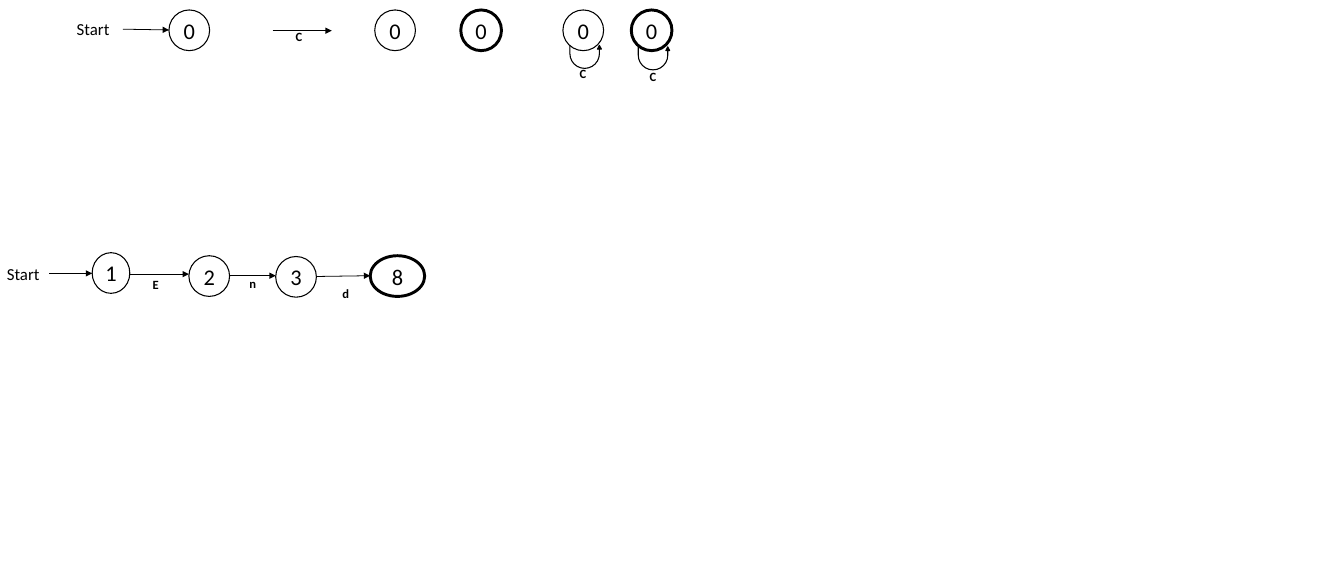
"""Build a slide of state machine symbols and the automaton for the word End."""
from lxml import etree
from pptx import Presentation
from pptx.dml.color import RGBColor
from pptx.enum import shapes, text
from pptx.oxml.ns import qn
from pptx.util import Inches, Pt

BLACK = RGBColor(0, 0, 0)
FONT = "Calibri"
STATE = 0.53
THIN, THICK = 1, 2.75


def write(shape, content, size, bold=False, align=text.PP_ALIGN.LEFT):
    """Put one formatted paragraph into a shape."""
    shape.text_frame.word_wrap = True
    paragraph = shape.text_frame.paragraphs[0]
    paragraph.text = content
    paragraph.alignment = align
    font = paragraph.font
    font.name, font.size, font.bold = FONT, Pt(size), bold
    font.color.rgb = BLACK


def add_label(slide, content, left, top, width=0.22, height=0.3, size=11.8, bold=True):
    """Add a text label, by default a transition letter."""
    box = slide.shapes.add_textbox(*map(Inches, (left, top, width, height)))
    write(box, content, size, bold)


def add_start(slide, left, top):
    """Add the word that leads into a first state."""
    add_label(slide, "Start", left, top, width=0.7, height=0.37, size=15.8, bold=False)


def add_state(slide, name, left, top, width=STATE, final=False):
    """Add a state circle, with a thick outline if it is final."""
    state = slide.shapes.add_shape(
        shapes.MSO_SHAPE.OVAL, *map(Inches, (left, top, width, STATE)))
    state.shadow.inherit = False
    state.fill.background()
    state.line.color.rgb = BLACK
    state.line.width = Pt(THICK if final else THIN)
    frame = state.text_frame
    frame.margin_left = frame.margin_right = 0
    frame.vertical_anchor = text.MSO_ANCHOR.MIDDLE
    write(state, name, 21, align=text.PP_ALIGN.CENTER)


def add_arrow(slide, x1, y1, x2, y2):
    """Add a thin straight arrow between two points."""
    arrow = slide.shapes.add_connector(
        shapes.MSO_CONNECTOR.STRAIGHT, *map(Inches, (x1, y1, x2, y2)))
    arrow.line.color.rgb = BLACK
    arrow.line.width = Pt(0.75)
    etree.SubElement(arrow.line._get_or_add_ln(), qn("a:tailEnd"), type="triangle")
    etree.SubElement(arrow._element.spPr, qn("a:effectLst"))


def add_loop(slide, left, top):
    """Add an arrow that turns back to the state above it."""
    loop = slide.shapes.add_shape(
        shapes.MSO_SHAPE.U_TURN_ARROW, *map(Inches, (left, top, 0.41, 0.3)))
    for index, value in enumerate((0, 0.085, 0.164, 0.717, 1)):
        loop.adjustments[index] = value
    loop.rotation = 180
    loop._element.spPr.find(qn("a:xfrm")).set("flipH", "1")
    loop.shadow.inherit = False
    loop.fill.solid()
    loop.fill.fore_color.rgb = BLACK
    loop.line.color.rgb = BLACK
    loop.line.width = Pt(THIN)


def add_legend(slide):
    """Add the row of basic symbols."""
    top = 0.13
    add_start(slide, 0.9, 0.2)
    add_arrow(slide, 1.6, 0.38, 2.2, 0.39)
    add_arrow(slide, 3.55, 0.4, 4.32, 0.4)
    add_label(slide, "C", 3.75, 0.33)
    for left, final in ((2.2, False), (4.88, False), (6, True)):
        add_state(slide, "0", left, top, final=final)
    for left, loop_top, label_left, label_top, final in (
            (7.33, 0.59, 7.45, 0.81, False), (8.22, 0.61, 8.36, 0.85, True)):
        add_state(slide, "0", left, top, final=final)
        add_loop(slide, left + 0.09, loop_top)
        add_label(slide, "C", label_left, label_top)


def add_automaton(slide):
    """Add the chain of states that accepts the word."""
    add_start(slide, -0.01, 3.38)
    for name, left, top, width, final in (
            ("1", 1.2, 3.29, 0.49, False), ("2", 2.46, 3.33, STATE, False),
            ("3", 3.59, 3.34, STATE, False), ("8", 4.82, 3.33, 0.71, True)):
        add_state(slide, name, left, top, width, final)
    add_arrow(slide, 0.64, 3.56, 1.2, 3.56)
    for letter, x1, y1, x2, y2, left, top in (
            ("E", 1.69, 3.57, 2.46, 3.57, 1.89, 3.56),
            ("n", 2.98, 3.59, 3.59, 3.59, 3.15, 3.54),
            ("d", 4.12, 3.6, 4.82, 3.59, 4.36, 3.67)):
        add_arrow(slide, x1, y1, x2, y2)
        add_label(slide, letter, left, top)


def main():
    """Build and save the slide."""
    presentation = Presentation()
    presentation.slide_width, presentation.slide_height = Inches(17.5), Inches(7.5)
    slide = presentation.slides.add_slide(presentation.slide_layouts[6])
    add_legend(slide)
    add_automaton(slide)
    presentation.save("out.pptx")


if __name__ == "__main__":
    main()
